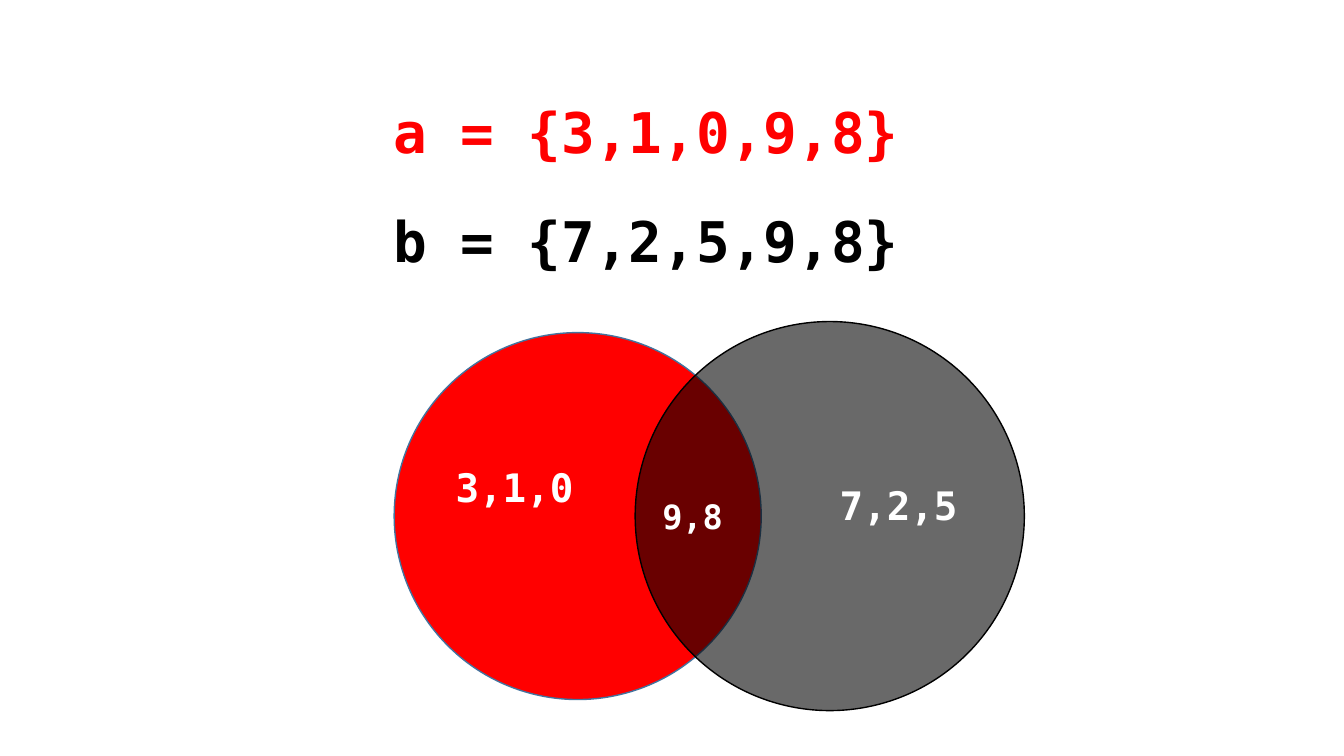
from dataclasses import dataclass

from lxml import etree
from pptx import Presentation
from pptx.dml.color import RGBColor
from pptx.enum import shapes, text
from pptx.oxml.ns import qn
from pptx.util import Inches, Pt


@dataclass(frozen=True)
class Theme:
    font: str = "DejaVu Sans Mono"
    red: str = "FF0000"
    black: str = "000000"
    white: str = "FFFFFF"
    outline: str = "43739E"
    heading: int = 40
    label: int = 28
    small_label: int = 24


T = Theme()

HEADINGS = [("a = {3,1,0,9,8}", T.red), ("b = {7,2,5,9,8}", T.black)]
HEADING_LEFT, HEADING_TOP, HEADING_W, HEADING_H = 1.35, 0.61, 10.11, 1.08

# centre x, diameter, fill, opacity in percent, line colour
CIRCLES = [
    (5.73, 3.64, T.red, 100, T.outline),
    (8.23, 3.86, T.black, 59, T.black),
]
CIRCLE_MIDDLE = 5.12

# text, left, top, width, height, size
LABELS = [
    ("7,2,5", 8.23, 4.73, 1.38, 0.57, T.label),
    ("3,1,0", 4.42, 4.55, 1.38, 0.57, T.label),
    ("9,8", 6.47, 4.87, 0.81, 0.5, T.small_label),
]


def rgb(color):
    return RGBColor.from_string(color)


def write(sp, wording, size, color):
    p = sp.text_frame.paragraphs[0]
    p.text = wording
    font = p.runs[0].font
    font.name, font.size, font.bold = T.font, Pt(size), True
    font.color.rgb = rgb(color)
    return p


def add_heading(sp, row, wording, color):
    sp.left, sp.top = Inches(HEADING_LEFT), Inches(HEADING_TOP + row * HEADING_H)
    sp.width, sp.height = Inches(HEADING_W), Inches(HEADING_H)
    tf = sp.text_frame
    tf.word_wrap = True
    tf.auto_size = text.MSO_AUTO_SIZE.NONE
    tf.vertical_anchor = text.MSO_ANCHOR.BOTTOM
    p = write(sp, wording, T.heading, color)
    p.alignment = text.PP_ALIGN.CENTER
    p.line_spacing = 0.9


def add_circle(s, center, diameter, fill, opacity, line):
    sp = s.shapes.add_shape(
        shapes.MSO_SHAPE.OVAL,
        Inches(center - diameter / 2), Inches(CIRCLE_MIDDLE - diameter / 2),
        Inches(diameter), Inches(diameter))
    sp.shadow.inherit = False
    sp.fill.solid()
    sp.fill.fore_color.rgb = rgb(fill)
    if opacity < 100:
        color = sp.fill._xPr.find(qn("a:solidFill"))[0]
        etree.SubElement(color, qn("a:alpha"), val=str(opacity * 1000))
    sp.line.color.rgb = rgb(line)
    sp.line.width = Pt(1)


def add_label(s, wording, left, top, width, height, size):
    sp = s.shapes.add_textbox(*map(Inches, (left, top, width, height)))
    sp.text_frame.word_wrap = False
    sp.text_frame.auto_size = text.MSO_AUTO_SIZE.SHAPE_TO_FIT_TEXT
    write(sp, wording, size, T.white)


def main():
    prs = Presentation()
    prs.slide_width, prs.slide_height = Inches(13.33), Inches(7.5)
    s = prs.slides.add_slide(prs.slide_layouts[5])
    for row, (wording, color) in enumerate(HEADINGS):
        sp = s.shapes.title if row == 0 else s.shapes.add_textbox(0, 0, 0, 0)
        add_heading(sp, row, wording, color)
    for circle in CIRCLES:
        add_circle(s, *circle)
    for label in LABELS:
        add_label(s, *label)
    prs.save("out.pptx")


if __name__ == "__main__":
    main()
